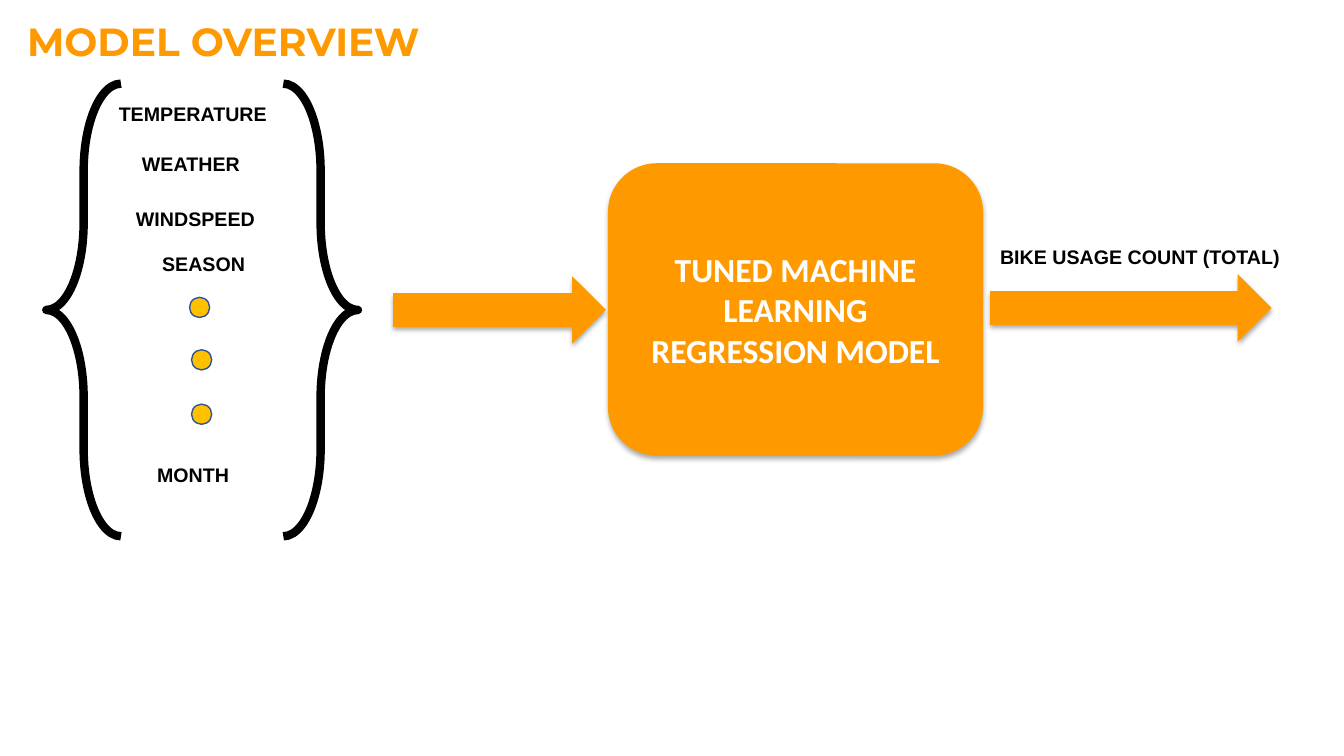
import pptx
import pptx.util
import pptx.dml.color
import pptx.enum.shapes
import pptx.enum.text
import pptx.oxml
import pptx.oxml.ns

RGB = pptx.dml.color.RGBColor
SHAPE = pptx.enum.shapes.MSO_SHAPE
ORANGE = RGB(0xFF, 0x99, 0x00)
AMBER = RGB(0xFF, 0xC0, 0x00)
BLUE = RGB(0x32, 0x54, 0x91)
BLACK = RGB(0, 0, 0)
WHITE = RGB(0xFF, 0xFF, 0xFF)

# Content: boxes are left, top, width, height in px
PX = 9144  # EMU, 100 px to the inch
SLIDE_SIZE = (1333, 750)
TITLE = ("MODEL OVERVIEW", (17, 12, 1006, 57))
MODEL = ("TUNED MACHINE LEARNING REGRESSION MODEL", (603, 162, 372, 290))
LABELS = [
    ("TEMPERATURE", (108, 96, 170)),
    ("WEATHER", (131, 146, 120)),
    ("WINDSPEED", (125, 200, 139)),
    ("SEASON", (151, 245, 103)),
    ("MONTH", (146, 454, 92)),
    ("BIKE USAGE COUNT (TOTAL)", (982, 238, 301)),
]
LABEL_HEIGHT = 34
ARROWS = [(390, 274, 211, 67), (982, 272, 279, 67)]
BRACES = [(46, 0), (281, 180)]  # left, rotation
BRACE_TOP, BRACE_WIDTH, BRACE_HEIGHT = 83, 74, 449
DOTS = [(188, 295), (190, 347), (190, 401)]
DOT_SIZE = 20

LABEL_FONT = {"name": "Arial", "size": pptx.util.Pt(14), "bold": True}
MODEL_FONT = {"name": "Calibri", "size": pptx.util.Pt(24), "bold": True}
TITLE_FONT = {"name": "Montserrat", "size": pptx.util.Pt(28), "bold": True}

SHADOW = (
    f'<a:effectLst {pptx.oxml.ns.nsdecls("a")}>'
    '<a:outerShdw blurRad="44450" dist="27940" dir="5400000" algn="ctr" rotWithShape="0">'
    '<a:srgbClr val="000000"><a:alpha val="32000"/></a:srgbClr>'
    '</a:outerShdw></a:effectLst>'
)


def emu(box):
    return [length * PX for length in box]


def write(frame, text, font, color):
    run = frame.paragraphs[0].add_run()
    run.text = text
    for key, value in font.items():
        setattr(run.font, key, value)
    run.font.color.rgb = color


def add_text(slide, text, box, font, color, wrap):
    frame = slide.shapes.add_textbox(*emu(box)).text_frame
    frame.word_wrap = wrap
    frame.auto_size = pptx.enum.text.MSO_AUTO_SIZE.SHAPE_TO_FIT_TEXT
    write(frame, text, font, color)


def add_shape(slide, kind, box, fill=None, line=None, line_width=0):
    shape = slide.shapes.add_shape(kind, *emu(box))
    shape.shadow.inherit = False
    if fill is None:
        shape.fill.background()
    else:
        shape.fill.solid()
        shape.fill.fore_color.rgb = fill
    if line is None:
        shape.line.fill.background()
    else:
        shape.line.color.rgb = line
        shape.line.width = pptx.util.Pt(line_width)
    return shape


def add_raised(slide, kind, box):
    shape = add_shape(slide, kind, box, fill=ORANGE)
    properties = shape.element.spPr
    properties.remove(properties.find(pptx.oxml.ns.qn("a:effectLst")))
    properties.append(pptx.oxml.parse_xml(SHADOW))
    return shape


def main():
    deck = pptx.Presentation()
    deck.slide_width, deck.slide_height = emu(SLIDE_SIZE)
    slide = deck.slides.add_slide(deck.slide_layouts[6])

    # Model box
    model_text, model_box = MODEL
    model = add_raised(slide, SHAPE.ROUNDED_RECTANGLE, model_box)
    model.text_frame.word_wrap = True
    model.text_frame.vertical_anchor = pptx.enum.text.MSO_ANCHOR.MIDDLE
    write(model.text_frame, model_text, MODEL_FONT, WHITE)
    model.text_frame.paragraphs[0].alignment = pptx.enum.text.PP_ALIGN.CENTER

    # Arrows into and out of the model
    for arrow_box in ARROWS:
        add_raised(slide, SHAPE.RIGHT_ARROW, arrow_box)

    # Braces around the inputs
    for left, rotation in BRACES:
        brace_box = (left, BRACE_TOP, BRACE_WIDTH, BRACE_HEIGHT)
        brace = add_shape(slide, SHAPE.LEFT_BRACE, brace_box, line=BLACK, line_width=6)
        brace.adjustments[0] = 1.17
        brace.rotation = rotation

    # Input and output labels
    for label, place in LABELS:
        add_text(slide, label, (*place, LABEL_HEIGHT), LABEL_FONT, BLACK, wrap=False)

    # Dots for the inputs left out
    for left, top in DOTS:
        add_shape(slide, SHAPE.OVAL, (left, top, DOT_SIZE, DOT_SIZE), AMBER, BLUE, 1)

    # Title
    add_text(slide, *TITLE, TITLE_FONT, ORANGE, wrap=True)

    deck.save("out.pptx")


if __name__ == "__main__":
    main()
